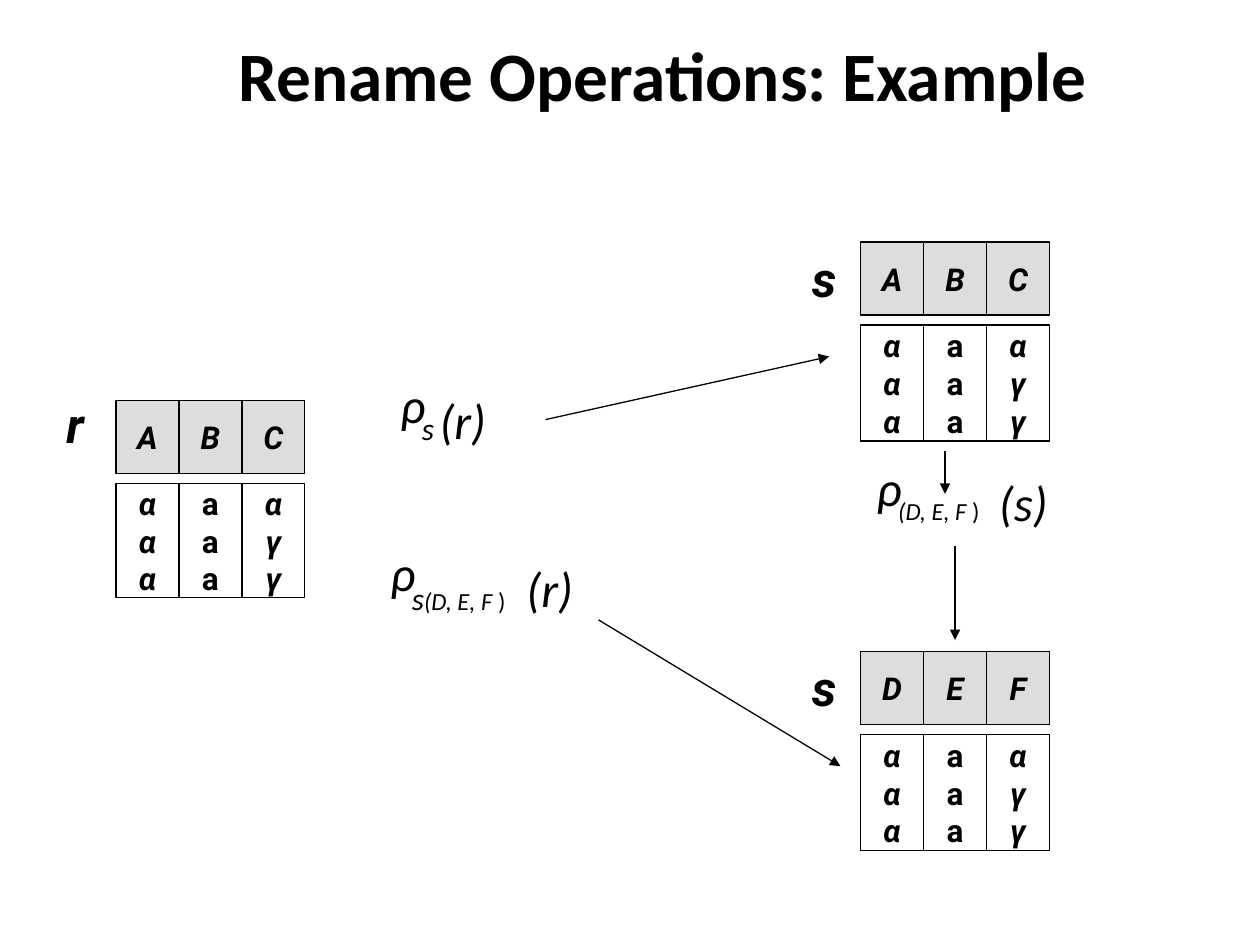
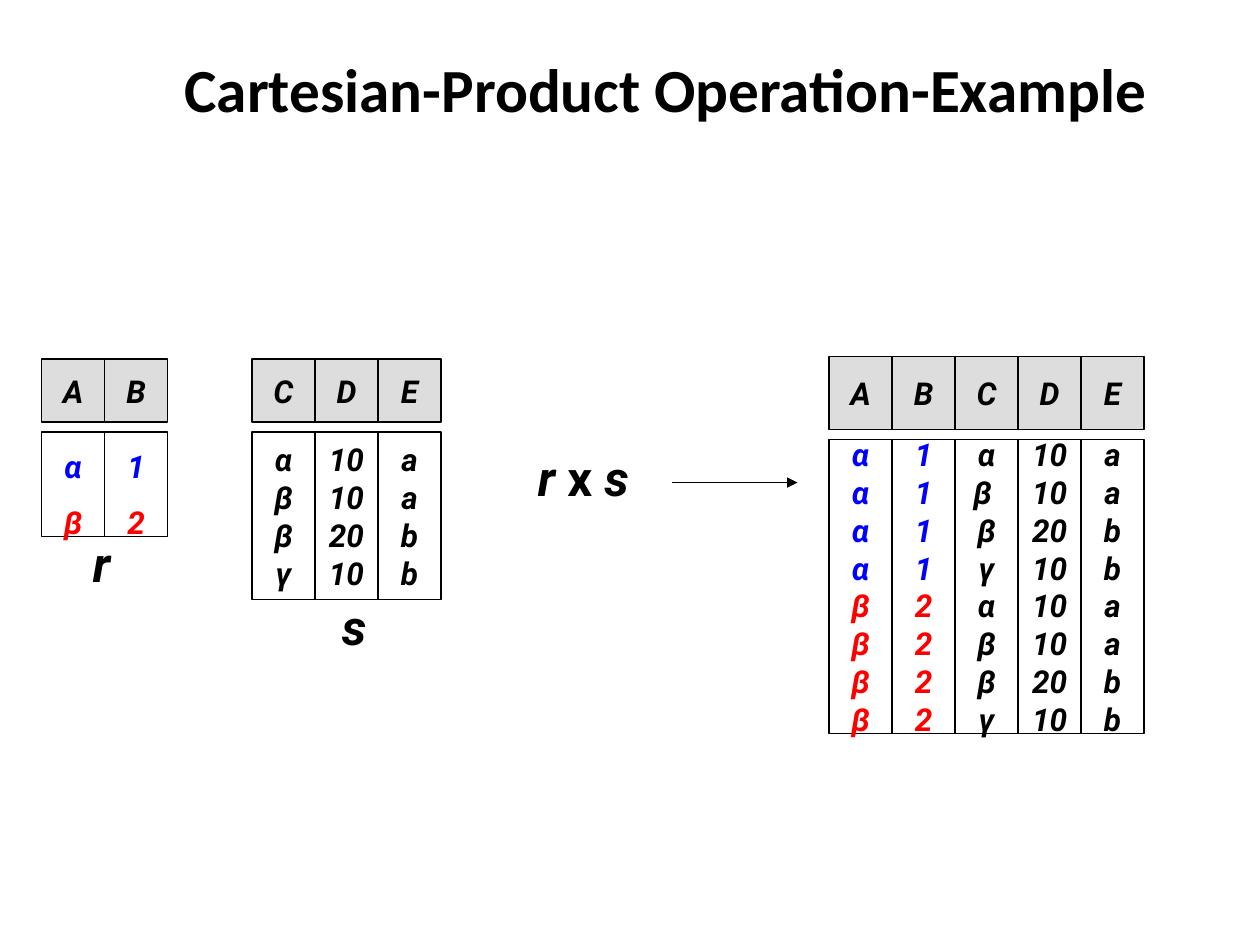
import pptx
import pptx.util
import pptx.dml.color
import pptx.enum.shapes
import pptx.enum.text
import pptx.oxml.ns
from lxml import etree

Inches = pptx.util.Inches
COLORS = {"ink": "000000", "header": "DDDDDD", "body": "FFFFFF",
          "first": "0000FF", "second": "FF0000"}
COLUMN_WIDTH = 0.5
HEADER_GAP = 0.08
ALIGN = pptx.enum.text.PP_ALIGN
ANCHOR = pptx.enum.text.MSO_ANCHOR


def rgb(name):
    return pptx.dml.color.RGBColor.from_string(COLORS[name])


def write(shape, paragraphs, size=18, font="Roboto", bold=True, italic=True,
          align=ALIGN.CENTER, anchor=ANCHOR.MIDDLE, wrap=False, spacing=None):
    """Fill a shape; a paragraph is a list of (text, changes to the format)."""
    frame = shape.text_frame
    frame.auto_size = pptx.enum.text.MSO_AUTO_SIZE.NONE
    frame.word_wrap = wrap
    frame.vertical_anchor = anchor
    for number, runs in enumerate(paragraphs):
        paragraph = frame.add_paragraph() if number else frame.paragraphs[0]
        paragraph.alignment = align
        paragraph.line_spacing = spacing
        for text, changes in runs:
            run = paragraph.add_run()
            run.text = text
            run.font.name = font
            run.font.size = pptx.util.Pt(changes.get("size", size))
            run.font.bold = bold
            run.font.italic = changes.get("italic", italic)
            run.font.color.rgb = rgb(changes.get("color", "ink"))


# Relations: left, top, header height, body height, line spacing,
# number of tinted columns, columns (heading first)
ABC = ["A,α,α,α", "B,a,a,a", "C,α,γ,γ"]
DEF = ["D,α,α,α", "E,a,a,a", "F,α,γ,γ"]
CDE = ["C,α,β,β,γ", "D,10,10,20,10", "E,a,a,b,b"]
PRODUCT = ["A,α,α,α,α,β,β,β,β", "B,1,1,1,1,2,2,2,2", "C,α,β ,β,γ,α,β,β,γ",
           "D,10,10,20,10,10,10,20,10", "E,a,a,b,b,a,a,b,b"]

DEF_RUNS = [("(D, E, F ", {"size": 14}), (")", {"size": 14, "italic": False})]

slides = [
    {
        "title": ("Rename Operations: Example", 39.6, (1, 0.25, 8.52, 0.67)),
        "relations": [
            (6.83, 1.92, 0.58, 0.92, None, 0, ABC),
            (0.92, 3.18, 0.58, 0.9, None, 0, ABC),
            (6.83, 5.17, 0.58, 0.92, None, 0, DEF),
        ],
        "names": [("s", 6.33, 1.92), ("r", 0.42, 3.08), ("s", 6.33, 5.17)],
        # Rho, its subscript and its argument
        "formulas": [
            ((3.08, 2.92), (3.25, 3.2, 0.31), [("s", {"size": 18})],
             (3.39, 3.05), "(r)"),
            ((3, 4.26), (3.17, 4.55, 1.17), [("s", {"size": 18})] + DEF_RUNS,
             (4.08, 4.38), "(r)"),
            ((6.86, 3.58), (7.03, 3.89, 1.06), DEF_RUNS, (7.83, 3.7), "(s)"),
        ],
        "arrows": [(4.33, 3.33, 6.58, 2.83), (4.75, 4.92, 6.67, 6.08),
                   (7.5, 3.58, 7.5, 3.92), (7.58, 4.33, 7.58, 5.08)],
    },
    {
        "title": ("Cartesian-Product Operation-Example", 35, (0.92, 0.42, 8.73, 0.55)),
        "relations": [
            (0.33, 2.85, 0.5, 0.83, 1.5, 2, ["A,α,β", "B,1,2"]),
            (2, 2.85, 0.5, 1.33, None, 0, CDE),
            (6.58, 2.83, 0.58, 2.33, None, 2, PRODUCT),
        ],
        "names": [("r", 0.63, 4.18), ("s", 2.6, 4.68)],
        "formulas": [],
        "arrows": [(5.33, 3.83, 6.33, 3.83)],
    },
]

deck = pptx.Presentation()
deck.slide_width, deck.slide_height = Inches(10), Inches(7.5)

for content in slides:
    slide = deck.slides.add_slide(deck.slide_layouts[5])
    shapes = slide.shapes

    # Title
    heading, heading_size, place = content["title"]
    title = shapes.title
    title.left, title.top, title.width, title.height = map(Inches, place)
    write(title, [[(heading, {})]], size=heading_size, font="Calibri",
          italic=False, wrap=True)

    # Relations: a heading cell above one body cell per column
    for left, top, header_height, body_height, spacing, tinted, columns in content["relations"]:
        for index, column in enumerate(columns):
            attribute, *values = column.split(",")
            rows = []
            for row, value in enumerate(values):
                half = "first" if row < len(values) / 2 else "second"
                rows.append([(value, {"color": half if index < tinted else "ink",
                                      "italic": value != "a" or len(values) == 4
                                      or tinted > 0})])
            body_top = top + header_height + HEADER_GAP
            for fill, cell_top, height, lines, line_spacing in (
                    ("header", top, header_height, [[(attribute, {})]], None),
                    ("body", body_top, body_height, rows, spacing)):
                cell = shapes.add_shape(
                    pptx.enum.shapes.MSO_SHAPE.RECTANGLE,
                    Inches(left + index * COLUMN_WIDTH), Inches(cell_top),
                    Inches(COLUMN_WIDTH), Inches(height))
                cell.shadow.inherit = False
                cell.fill.solid()
                cell.fill.fore_color.rgb = rgb(fill)
                cell.line.color.rgb = rgb("ink")
                cell.line.width = pptx.util.Pt(0.75)
                write(cell, lines, spacing=line_spacing)

    # Relation names
    for name, left, top in content["names"]:
        label = shapes.add_textbox(Inches(left), Inches(top),
                                   Inches(0.35 if name == "r" else 0.42), Inches(0.57))
        write(label, [[(name, {})]], size=28)

    # Rename formulas
    for rho, (sub_left, sub_top, sub_width), subscript, argument, relation in content["formulas"]:
        for left, top, width, height, runs in (
                (*rho, 0.52, 1.03, [("ρ", {})]),
                (sub_left, sub_top, sub_width, 0.87, subscript),
                (*argument, 0.65, 1.03, [(relation, {})])):
            part = shapes.add_textbox(Inches(left), Inches(top),
                                      Inches(width), Inches(height))
            write(part, [runs], size=28, font="Calibri", bold=False,
                  align=ALIGN.LEFT, anchor=ANCHOR.TOP)

    # Arrows
    for ends in content["arrows"]:
        arrow = shapes.add_connector(pptx.enum.shapes.MSO_CONNECTOR.STRAIGHT,
                                     *map(Inches, ends))
        arrow.line.color.rgb = rgb("ink")
        arrow.line.width = pptx.util.Pt(0.75)
        etree.SubElement(arrow.line._get_or_add_ln(), pptx.oxml.ns.qn("a:tailEnd"),
                         type="triangle")
        etree.SubElement(arrow._element.spPr, pptx.oxml.ns.qn("a:effectLst"))

# Product expression on the last slide
product = shapes.add_textbox(Inches(4.17), Inches(3.5), Inches(1.17), Inches(0.5))
write(product, [[("r", {}), (" x ", {"italic": False}), ("s", {})]], size=28,
      align=ALIGN.LEFT, anchor=ANCHOR.TOP, wrap=True)

deck.save("out.pptx")
